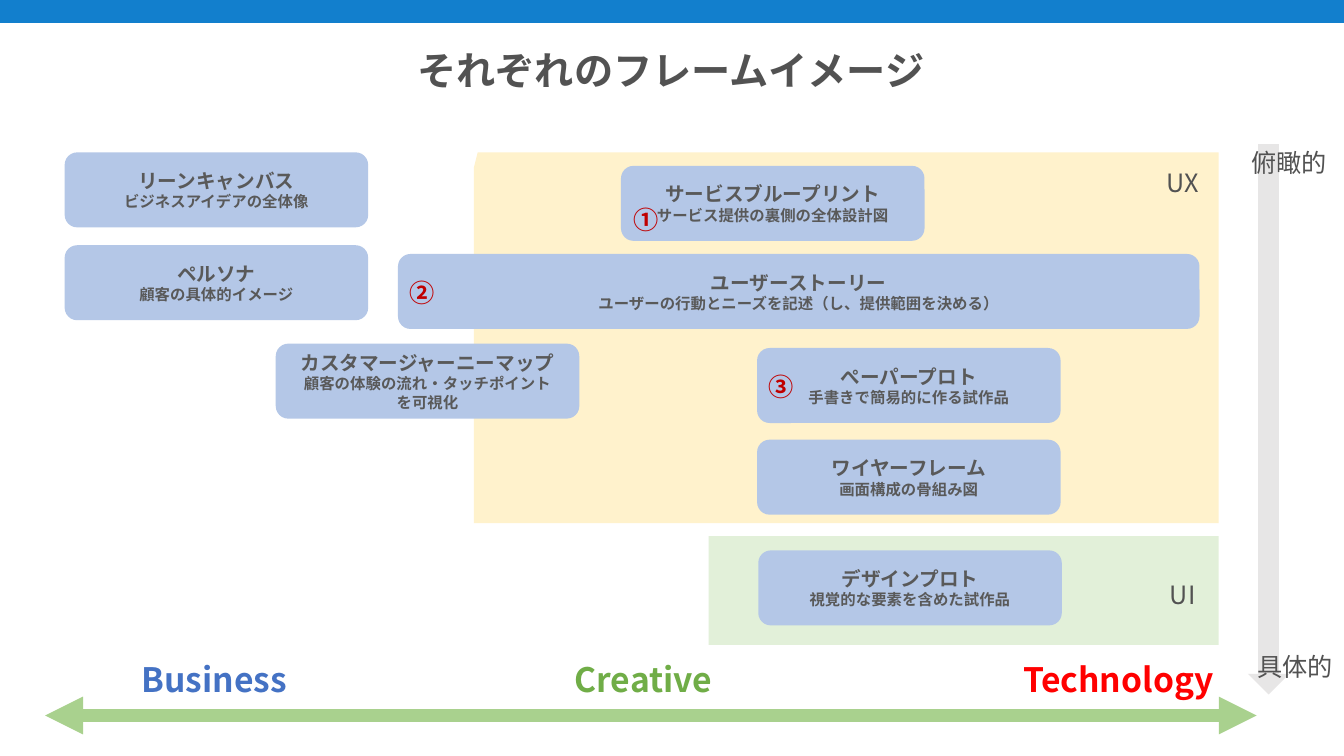
from lxml import etree
from pptx import Presentation
from pptx.dml.color import RGBColor
from pptx.enum.shapes import MSO_CONNECTOR, MSO_SHAPE
from pptx.enum.text import MSO_ANCHOR, MSO_AUTO_SIZE, PP_ALIGN
from pptx.oxml.ns import qn
from pptx.util import Cm, Pt

RECTANGLE = MSO_SHAPE.RECTANGLE
ROUNDED = MSO_SHAPE.ROUNDED_RECTANGLE
DOWN_ARROW = MSO_SHAPE.DOWN_ARROW
STRAIGHT = MSO_CONNECTOR.STRAIGHT
CENTER = PP_ALIGN.CENTER
TOP, MIDDLE = MSO_ANCHOR.TOP, MSO_ANCHOR.MIDDLE
GROW = MSO_AUTO_SIZE.SHAPE_TO_FIT_TEXT

FONT = "Noto Sans CJK JP"
BAR_BLUE = RGBColor(0x12, 0x7F, 0xCD)
UX_YELLOW = RGBColor(0xFF, 0xF2, 0xCC)
UI_GREEN = RGBColor(0xE2, 0xF0, 0xD9)
CARD_BLUE = RGBColor(0xB4, 0xC7, 0xE7)
CARD_TEXT = RGBColor(0x59, 0x59, 0x59)
DARK_GRAY = RGBColor(0x52, 0x52, 0x52)
ARROW_GRAY = RGBColor(0xE7, 0xE6, 0xE6)
ARROW_GREEN = RGBColor(0xA9, 0xD1, 0x8E)
NUMBER_RED = RGBColor(0xC0, 0x00, 0x00)
BUSINESS_BLUE = RGBColor(0x44, 0x72, 0xC4)
CREATIVE_GREEN = RGBColor(0x70, 0xAD, 0x47)
TECHNOLOGY_RED = RGBColor(0xFF, 0x00, 0x00)

CARD_WIDTH, CARD_HEIGHT = 7.65, 1.89
CARDS = [
    (15.65, 4.18, CARD_WIDTH, ["サービスブループリント", "サービス提供の裏側の全体設計図"]),
    (19.08, 8.77, CARD_WIDTH, ["ぺーパープロト", "手書きで簡易的に作る試作品"]),
    (19.08, 11.08, CARD_WIDTH, ["ワイヤーフレーム", "画面構成の骨組み図"]),
    (19.11, 13.87, CARD_WIDTH, ["デザインプロト", "視覚的な要素を含めた試作品"]),
    (10.03, 6.4, 20.2, ["ユーザーストーリー", "ユーザーの行動とニーズを記述（し、提供範囲を決める）"]),
    (1.63, 3.84, CARD_WIDTH, ["リーンキャンバス", "ビジネスアイデアの全体像"]),
    (1.63, 6.18, CARD_WIDTH, ["ペルソナ", "顧客の具体的イメージ"]),
    (6.95, 8.66, CARD_WIDTH, ["カスタマージャーニーマップ", "顧客の体験の流れ・タッチポイント", "を可視化"]),
]
FIELDS = [
    (2.64, "Business", BUSINESS_BLUE),
    (13.46, "Creative", CREATIVE_GREEN),
    (25.43, "Technology", TECHNOLOGY_RED),
]
NUMBERS = [(15.72, 5.03, "①"), (10.06, 6.86, "②"), (19.13, 9.22, "③")]
ZONES = [(4.09, "UX"), (14.48, "UI")]
LEVELS = [(31.27, 3.58, "俯瞰的"), (31.42, 16.28, "具体的")]


def format_para(para, size, color, bold):
    para.alignment = CENTER
    for span in para.runs:
        span.font.size = Pt(size)
        span.font.bold = bold
        span.font.color.rgb = color
        span.font.name = FONT
        east_asian = etree.SubElement(span.font._element, qn("a:ea"))
        east_asian.set("typeface", FONT)


def paint(shape, color):
    shape.fill.solid()
    shape.fill.fore_color.rgb = color
    shape.line.fill.background()
    shape.shadow.inherit = False


def add_block(page, kind, left, top, width, height, color):
    block = page.shapes.add_shape(kind, Cm(left), Cm(top), Cm(width), Cm(height))
    paint(block, color)
    return block


def add_title(page, text):
    title = page.shapes.title
    title.left, title.top = Cm(0.58), Cm(1.3)
    title.width, title.height = Cm(32.66), Cm(1.35)
    frame = title.text_frame
    frame.text = text
    frame.vertical_anchor = TOP
    frame.margin_top = frame.margin_bottom = 0
    para = frame.paragraphs[0]
    para.line_spacing = 0.9
    format_para(para, 28, DARK_GRAY, True)


def add_ux_zone(page):
    builder = page.shapes.build_freeform(Cm(11.94), Cm(4.24))
    corners = [(11.94, 13.18), (30.71, 13.18), (30.71, 3.84), (12.04, 3.84)]
    builder.add_line_segments([(Cm(x), Cm(y)) for x, y in corners], close=True)
    paint(builder.convert_to_shape(), UX_YELLOW)


def add_card(page, left, top, width, lines):
    card = add_block(page, ROUNDED, left, top, width, CARD_HEIGHT, CARD_BLUE)
    frame = card.text_frame
    frame.text = "\n".join(lines)
    frame.vertical_anchor = MIDDLE
    for index, para in enumerate(frame.paragraphs):
        format_para(para, 11 if index else 14, CARD_TEXT, True)


def add_label(page, left, top, width, text, size, color, bold=False, wrap=True, grow=True):
    box = page.shapes.add_textbox(Cm(left), Cm(top), Cm(width), Cm(1.02))
    frame = box.text_frame
    frame.text = text
    frame.word_wrap = wrap
    if grow:
        frame.auto_size = GROW
    else:
        frame.vertical_anchor = MIDDLE
    format_para(frame.paragraphs[0], size, color, bold)


def add_double_arrow(page, left, right, height):
    arrow = page.shapes.add_connector(STRAIGHT, Cm(left), Cm(height), Cm(right), Cm(height))
    arrow.line.color.rgb = ARROW_GREEN
    arrow.line.width = Pt(9)
    properties = arrow._element.spPr
    outline = properties.find(qn("a:ln"))
    for end in ("a:headEnd", "a:tailEnd"):
        etree.SubElement(outline, qn(end)).set("type", "triangle")
    etree.SubElement(properties, qn("a:effectLst"))


def main():
    deck = Presentation()
    deck.slide_width, deck.slide_height = Cm(33.87), Cm(19.05)
    page = deck.slides.add_slide(deck.slide_layouts[5])

    add_block(page, RECTANGLE, 0, 0, 33.87, 0.58, BAR_BLUE)
    add_title(page, "それぞれのフレームイメージ")
    add_block(page, RECTANGLE, 17.86, 13.51, 12.85, 2.74, UI_GREEN)
    add_ux_zone(page)
    for left, top, width, lines in CARDS:
        add_card(page, left, top, width, lines)
    for left, text, color in FIELDS:
        add_label(page, left, 16.59, 5.51, text, 24, color, bold=True, grow=False)
    for top, text in ZONES:
        add_label(page, 28.47, top, 2.67, text, 18, DARK_GRAY)
    add_double_arrow(page, 1.14, 31.67, 18.03)
    for left, top, text in NUMBERS:
        add_label(page, left, top, 0.99, text, 18, NUMBER_RED, bold=True)
    add_block(page, DOWN_ARROW, 31.45, 3.63, 1.04, 13.87, ARROW_GRAY)
    for left, top, text in LEVELS:
        add_label(page, left, top, 2.44, text, 18, DARK_GRAY, wrap=False)

    deck.save("out.pptx")


if __name__ == "__main__":
    main()
